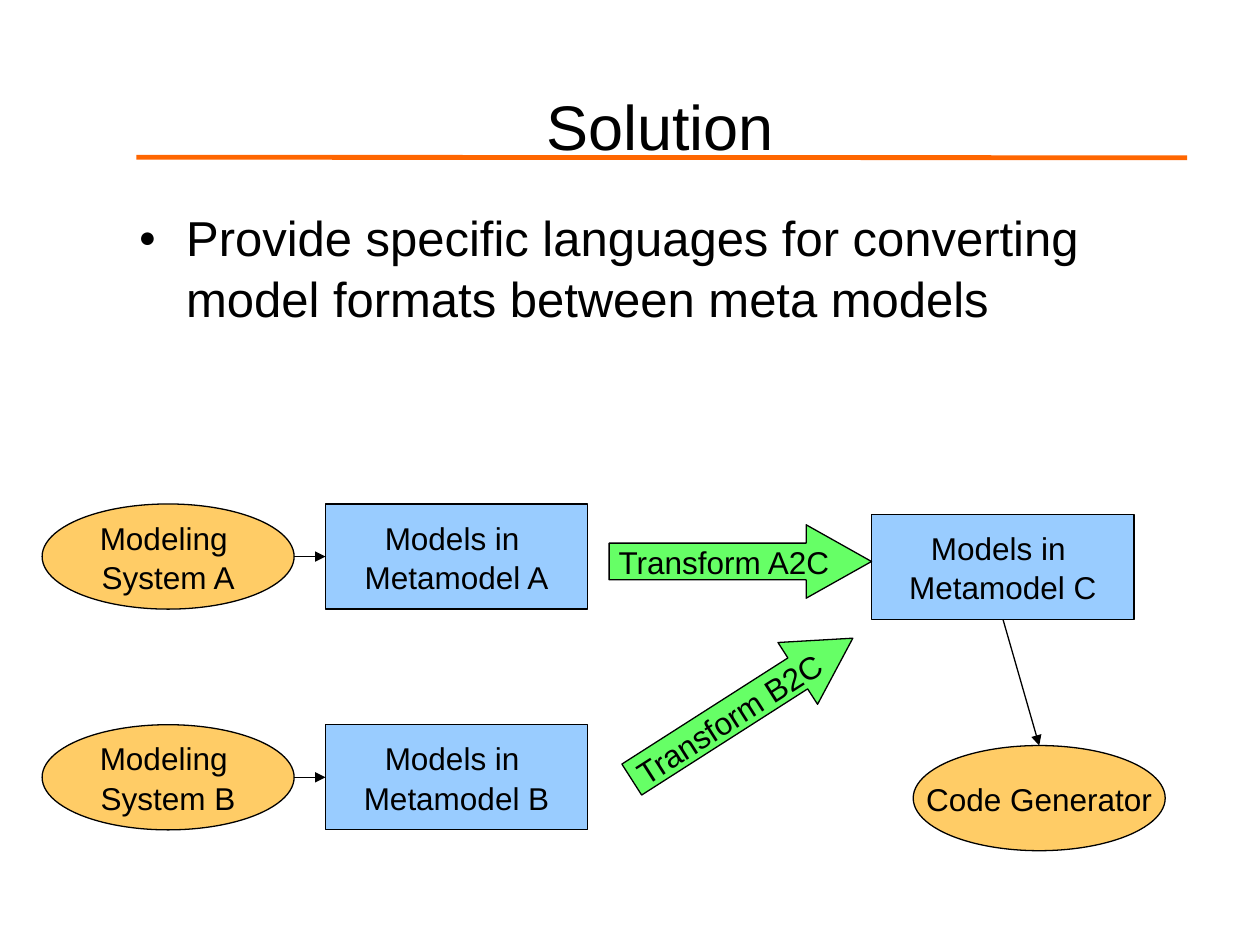
from dataclasses import dataclass
from typing import Any

from lxml.etree import SubElement
from pptx import Presentation
from pptx.dml.color import RGBColor
from pptx.enum.shapes import MSO_CONNECTOR, MSO_SHAPE as Preset
from pptx.enum.text import MSO_ANCHOR as Anchor, MSO_AUTO_SIZE as AutoSize, PP_ALIGN as Align
from pptx.oxml.ns import qn
from pptx.util import Cm, Pt

COLORS = {"text": "000000", "outline": "000000", "rule": "FF6600",
          "system": "FFCC66", "models": "99CCFF", "transform": "66FF66"}


@dataclass
class Diagram:
    """Holds the style and the slide, and draws each kind of element on it."""
    slide: Any
    font: str = "Arial"
    label_size: int = 18
    outline_width: float = 0.75

    def color(self, name):
        return RGBColor.from_string(COLORS[name])

    def add_text(self, paragraph, text, size, align):
        paragraph.alignment = align
        run = paragraph.add_run()
        run.text = text
        run.font.name = self.font
        run.font.size = Pt(size)
        run.font.color.rgb = self.color("text")

    def place(self, holder, left, top, width, height, anchor):
        holder.left, holder.top = Cm(left), Cm(top)
        holder.width, holder.height = Cm(width), Cm(height)
        frame = holder.text_frame
        frame.auto_size = AutoSize.NONE
        frame.vertical_anchor = anchor
        return frame.paragraphs[0]

    def title(self, text, *box):
        heading = self.place(self.slide.shapes.title, *box, Anchor.MIDDLE)
        self.add_text(heading, text, 36, Align.CENTER)

    def bullet(self, text, *box):
        point = self.place(self.slide.placeholders[1], *box, Anchor.TOP)
        self.add_text(point, text, 28, Align.LEFT)
        point.space_before = Pt(7)
        point.line_spacing = 1.04
        properties = point._p.get_or_add_pPr()
        properties.set("marL", str(Cm(0.96)))
        properties.set("indent", str(Cm(-0.96)))
        SubElement(properties, qn("a:buSzPct")).set("val", "60000")
        SubElement(properties, qn("a:buChar")).set("char", "●")

    def node(self, preset, fill, lines, left, top, width, height):
        node = self.slide.shapes.add_shape(preset, Cm(left), Cm(top), Cm(width), Cm(height))
        node.shadow.inherit = False
        node.fill.solid()
        node.fill.fore_color.rgb = self.color(fill)
        node.line.color.rgb = self.color("outline")
        node.line.width = Pt(self.outline_width)
        frame = node.text_frame
        frame.word_wrap = False
        frame.vertical_anchor = Anchor.MIDDLE
        for index, text in enumerate(lines):
            paragraph = frame.add_paragraph() if index else frame.paragraphs[0]
            paragraph.line_spacing = 1.04
            self.add_text(paragraph, text, self.label_size, Align.CENTER)
        return node

    def system(self, lines, left, top):
        self.node(Preset.OVAL, "system", lines, left, top, 5.08, 2.12)

    def models(self, metamodel, left, top):
        lines = ["Models in ", f"Metamodel {metamodel}"]
        self.node(Preset.RECTANGLE, "models", lines, left, top, 5.29, 2.12)

    def transform(self, text, left, top, rotation=0):
        arrow = self.node(Preset.RIGHT_ARROW, "transform", [text], left, top, 5.29, 1.48)
        arrow.adjustments[0], arrow.adjustments[1] = 0.5, 0.89
        arrow.rotation = rotation

    def line(self, start, end, color="outline", width=0.75, arrow=True):
        points = [Cm(length) for length in (*start, *end)]
        line = self.slide.shapes.add_connector(MSO_CONNECTOR.STRAIGHT, *points)
        line.line.color.rgb = self.color(color)
        line.line.width = Pt(width)
        if arrow:
            SubElement(line.line._get_or_add_ln(), qn("a:tailEnd")).set("type", "triangle")
        SubElement(line._element.spPr, qn("a:effectLst"))


def main():
    deck = Presentation()
    deck.slide_width, deck.slide_height = Cm(25.4), Cm(19.05)
    diagram = Diagram(deck.slides.add_slide(deck.slide_layouts[1]))

    diagram.line((2.75, 3.17), (23.93, 3.18), "rule", 2.75, arrow=False)
    diagram.title("Solution", 2.31, 1.52, 22, 2.01)
    diagram.bullet("Provide specific languages for converting model formats between meta models",
                   2.54, 4.01, 21.62, 12.5)

    for name, top in (("A", 10.16), ("B", 14.61)):
        diagram.system(["Modeling ", f"System {name}"], 0.85, top)
        diagram.line((5.93, top + 1.06), (6.56, top + 1.06))
        diagram.models(name, 6.56, top)

    diagram.models("C", 17.57, 10.37)
    diagram.system(["Code Generator"], 18.41, 15.03)
    diagram.line((20.22, 12.49), (20.95, 15.03))
    diagram.transform("Transform A2C", 12.28, 10.58)
    diagram.transform("Transform B2C", 12.32, 13.55, 327.4)

    deck.save("out.pptx")


if __name__ == "__main__":
    main()
